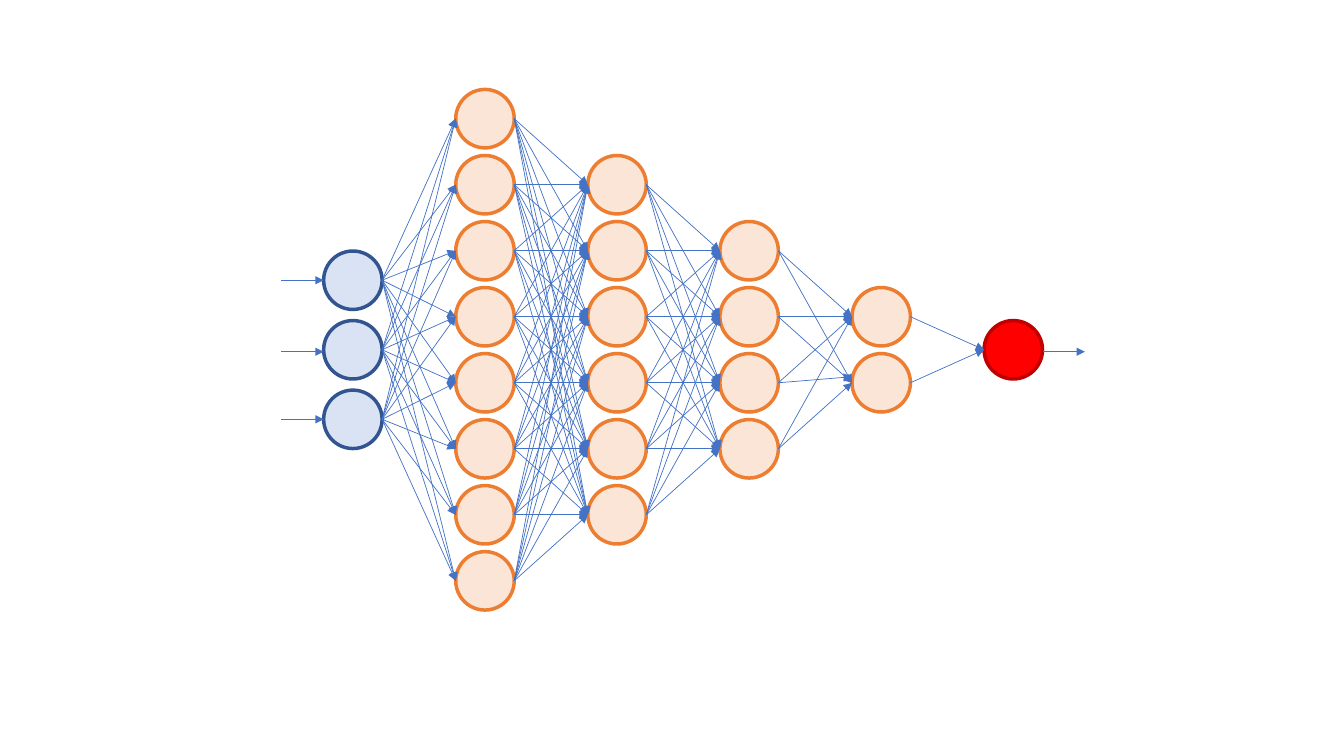
from dataclasses import dataclass
from itertools import pairwise, product

from lxml.etree import SubElement
from pptx import Presentation
from pptx.dml.color import RGBColor
from pptx.enum.shapes import MSO_CONNECTOR, MSO_SHAPE
from pptx.oxml.ns import qn
from pptx.util import Inches, Pt


@dataclass(frozen=True)
class Theme:
    input_fill: str = "DAE3F3"
    input_line: str = "325491"
    hidden_fill: str = "FBE5D6"
    hidden_line: str = "ED7D31"
    output_fill: str = "FF0000"
    output_line: str = "C00000"
    arrow: str = "4472C4"
    node_width: float = 2.5
    arrow_width: float = 0.5


THEME = Theme()
NODE = 0.58
LAYER_PITCH = 1.31
HIDDEN_PITCH = LAYER_PITCH / 2
INPUT_PITCH = 0.69
HIDDEN_SIZES = (8, 6, 4, 2)
STUB = 0.42
STUB_DROP = 0.02  # the middle input and the output arrows sit just below centre
BENT_LINK = (3, 2, 1)  # hidden layer, source node, target node
BENT_RISE = 0.06


def style_line(line, color, width):
    line.color.rgb = RGBColor.from_string(color)
    line.width = Pt(width)


def add_arrow(slide, start, end):
    arrow = slide.shapes.add_connector(
        MSO_CONNECTOR.STRAIGHT, *(Inches(value) for value in (*start, *end)))
    style_line(arrow.line, THEME.arrow, THEME.arrow_width)
    SubElement(arrow.line._get_or_add_ln(), qn("a:tailEnd"), type="triangle")
    SubElement(arrow._element.spPr, qn("a:effectLst"))


def add_node(shapes, left, center, fill, outline):
    node = shapes.add_shape(MSO_SHAPE.OVAL, Inches(left), Inches(center - NODE / 2),
                            Inches(NODE), Inches(NODE))
    node.shadow.inherit = False
    node.fill.solid()
    node.fill.fore_color.rgb = RGBColor.from_string(fill)
    style_line(node.line, outline, THEME.node_width)


def add_layer(slide, left, middle, count, pitch, fill, outline):
    """Stack nodes around the middle; return the layer's left edge and node centres."""
    centers = [middle + (row - (count - 1) / 2) * pitch for row in range(count)]
    shapes = slide.shapes.add_group_shape().shapes if count > 1 else slide.shapes
    for center in centers:
        add_node(shapes, left, center, fill, outline)
    return left, centers


def add_links(slide, layers):
    """Join each node to every node of the next layer."""
    for index, ((left, sources), (next_left, targets)) in enumerate(pairwise(layers)):
        for (row, source), (next_row, target) in product(enumerate(sources), enumerate(targets)):
            rise = BENT_RISE if (index, row, next_row) == BENT_LINK else 0
            add_arrow(slide, (left + NODE, source), (next_left, target - rise))


def add_stubs(slide, layers):
    """Draw the arrows entering the input layer and leaving the output node."""
    input_left, inputs = layers[0]
    output_left, (output,) = layers[-1]
    for row, center in enumerate(inputs):
        y = center + (STUB_DROP if row == 1 else 0)
        add_arrow(slide, (input_left - STUB, y), (input_left, y))
    right, y = output_left + NODE, output + STUB_DROP
    add_arrow(slide, (right, y), (right + STUB, y))


def add_network(slide, left, middle):
    hidden = [(size, HIDDEN_PITCH, THEME.hidden_fill, THEME.hidden_line)
              for size in HIDDEN_SIZES]
    plan = [(3, INPUT_PITCH, THEME.input_fill, THEME.input_line), *hidden,
            (1, HIDDEN_PITCH, THEME.output_fill, THEME.output_line)]
    layers = [add_layer(slide, left + column * LAYER_PITCH, middle, *layer)
              for column, layer in enumerate(plan)]
    add_links(slide, layers)
    add_stubs(slide, layers)


def main():
    deck = Presentation()
    deck.slide_width, deck.slide_height = Inches(13.33), Inches(7.5)
    slide = deck.slides.add_slide(deck.slide_layouts.get_by_name("Blank"))
    add_network(slide, left=3.21, middle=3.47)
    deck.save("out.pptx")


if __name__ == "__main__":
    main()
